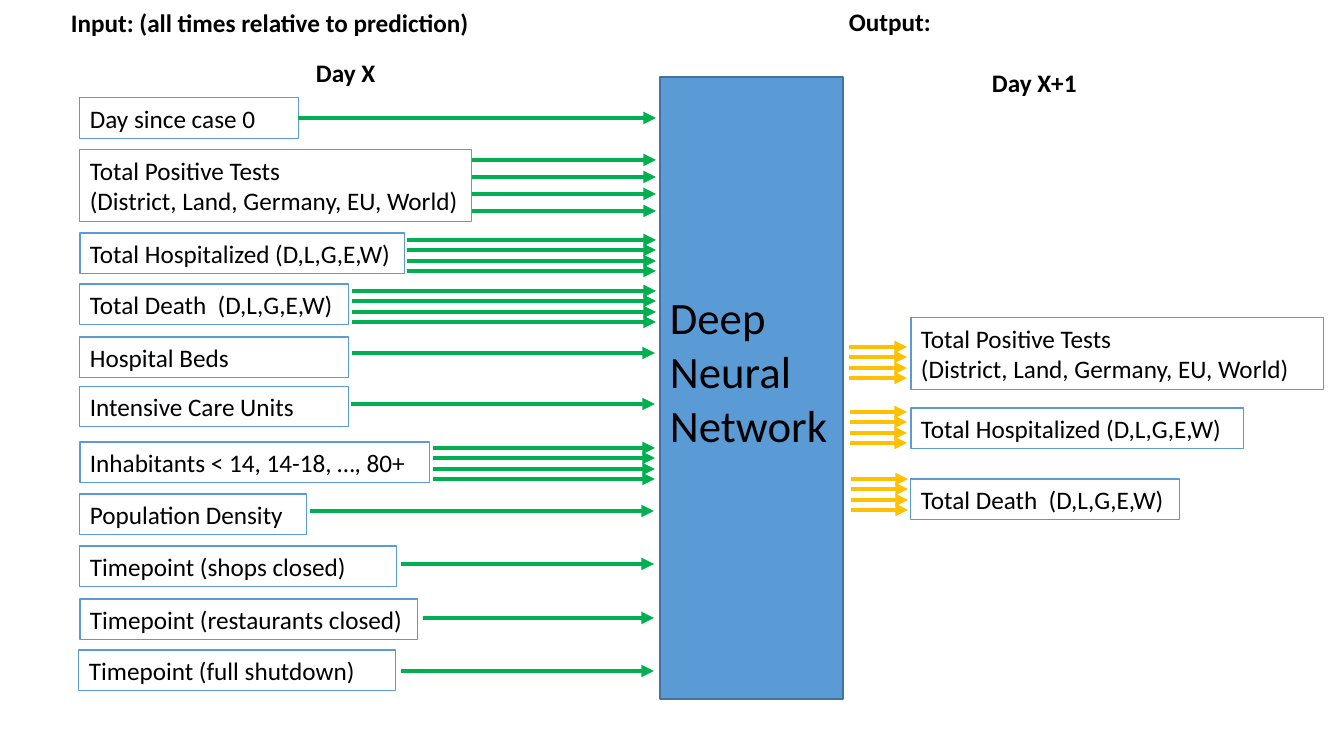
from lxml import etree
from pptx import Presentation
from pptx import util as u
from pptx.dml.color import RGBColor
from pptx.enum import shapes, text
from pptx.oxml.ns import qn

EMU_PER_PX = 914400 / 100.8
FONT = "Calibri"
BLACK = RGBColor(0x00, 0x00, 0x00)
BLUE = RGBColor(0x5B, 0x9B, 0xD5)
DARK_BLUE = RGBColor(0x43, 0x73, 0x9E)
GREEN = RGBColor(0x00, 0xB0, 0x50)
AMBER = RGBColor(0xFF, 0xC0, 0x00)
LINE_HEIGHT = 31
BOX_PADDING = 10

POSITIVE = "Total Positive Tests\v(District, Land, Germany, EU, World)"
HOSPITALIZED = "Total Hospitalized (D,L,G,E,W)"
DEATH = "Total Death  (D,L,G,E,W)"

# label, left, top, width, arrow start, arrow end, first arrow y, arrow count, spread
INPUTS = [
    ("Day since case 0", 80, 98, 219, 298, 656, 118, 1, 0),
    (POSITIVE, 80, 150, 392, 472, 656, 160, 4, 51),
    (HOSPITALIZED, 80, 233, 325, 407, 656, 240, 4, 31),
    (DEATH, 80, 284, 269, 352, 656, 291, 4, 31),
    ("Hospital Beds", 80, 337, 269, 352, 655, 353, 1, 0),
    ("Intensive Care Units", 80, 386, 269, 351, 655, 404, 1, 0),
    ("Inhabitants < 14, 14-18, …, 80+", 80, 442, 350, 433, 655, 448, 4, 31),
    ("Population Density", 80, 494, 227, 310, 654, 511, 1, 0),
    ("Timepoint (shops closed)", 80, 546, 317, 401, 654, 564, 1, 0),
    ("Timepoint (restaurants closed)", 80, 599, 338, 423, 654, 618, 1, 0),
    ("Timepoint (full shutdown)", 79, 650, 317, 401, 654, 671, 1, 0),
]
OUTPUTS = [
    (POSITIVE, 911, 318, 413, 849, 907, 347, 4, 31),
    (HOSPITALIZED, 911, 408, 333, 850, 907, 412, 4, 31),
    (DEATH, 911, 479, 269, 851, 908, 479, 4, 31),
]


def px(*lengths):
    return [u.Emu(round(n * EMU_PER_PX)) for n in lengths]


def write(sp, content, size=18, bold=False, wrap=True):
    tf = sp.text_frame
    tf.word_wrap = wrap
    tf.vertical_anchor = text.MSO_ANCHOR.TOP
    tf.text = content
    for p in tf.paragraphs:
        p.alignment = text.PP_ALIGN.LEFT
        for r in p.runs:
            r.font.name = FONT
            r.font.size = u.Pt(size)
            r.font.bold = bold
            r.font.color.rgb = BLACK


def add_text(s, content, left, top, width, height, **style):
    write(s.shapes.add_textbox(*px(left, top, width, height)), content, **style)


def add_box(s, left, top, width, height, line, weight, fill=None):
    sp = s.shapes.add_shape(shapes.MSO_SHAPE.RECTANGLE, *px(left, top, width, height))
    sp.shadow.inherit = False
    if fill is None:
        sp.fill.background()
    else:
        sp.fill.solid()
        sp.fill.fore_color.rgb = fill
    sp.line.color.rgb = line
    sp.line.width = u.Pt(weight)
    return sp


def add_arrow(parent, start, end, y, color):
    arrow = parent.shapes.add_connector(
        shapes.MSO_CONNECTOR.STRAIGHT, *px(start, y, end, y))
    arrow.line.color.rgb = color
    arrow.line.width = u.Pt(3)
    etree.SubElement(arrow.line._get_or_add_ln(), qn("a:tailEnd"), type="triangle")
    etree.SubElement(arrow._element.spPr, qn("a:effectLst"))


def add_arrows(s, start, end, first_y, count, spread, color):
    parent = s.shapes.add_group_shape() if count > 1 else s
    for i in range(count):
        add_arrow(parent, start, end, round(first_y + i * spread / max(count - 1, 1)), color)


def add_variable(s, row, color):
    label, left, top, width, *arrows = row
    height = BOX_PADDING + LINE_HEIGHT * (label.count("\v") + 1)
    write(add_box(s, left, top, width, height, BLUE, 0.75), label)
    add_arrows(s, *arrows, color)


def main():
    prs = Presentation()
    prs.slide_width, prs.slide_height = px(1344, 756)
    s = prs.slides.add_slide(prs.slide_layouts[6])

    add_box(s, 660, 77, 183, 622, DARK_BLUE, 1, BLUE)
    add_text(s, "Deep\nNeural\vNetwork", 660, 285, 178, 173, size=32, wrap=False)
    for row in INPUTS:
        add_variable(s, row, GREEN)
    for row in OUTPUTS:
        add_variable(s, row, AMBER)

    add_text(s, "Input: (all times relative to prediction)", 61, 2, 429, 41, bold=True)
    add_text(s, "Output:", 839, 1, 429, 41, bold=True)
    add_text(s, "Day X", 306, 52, 81, 41, bold=True, wrap=False)
    add_text(s, "Day X+1", 982, 62, 106, 41, bold=True, wrap=False)

    prs.save("out.pptx")


main()
